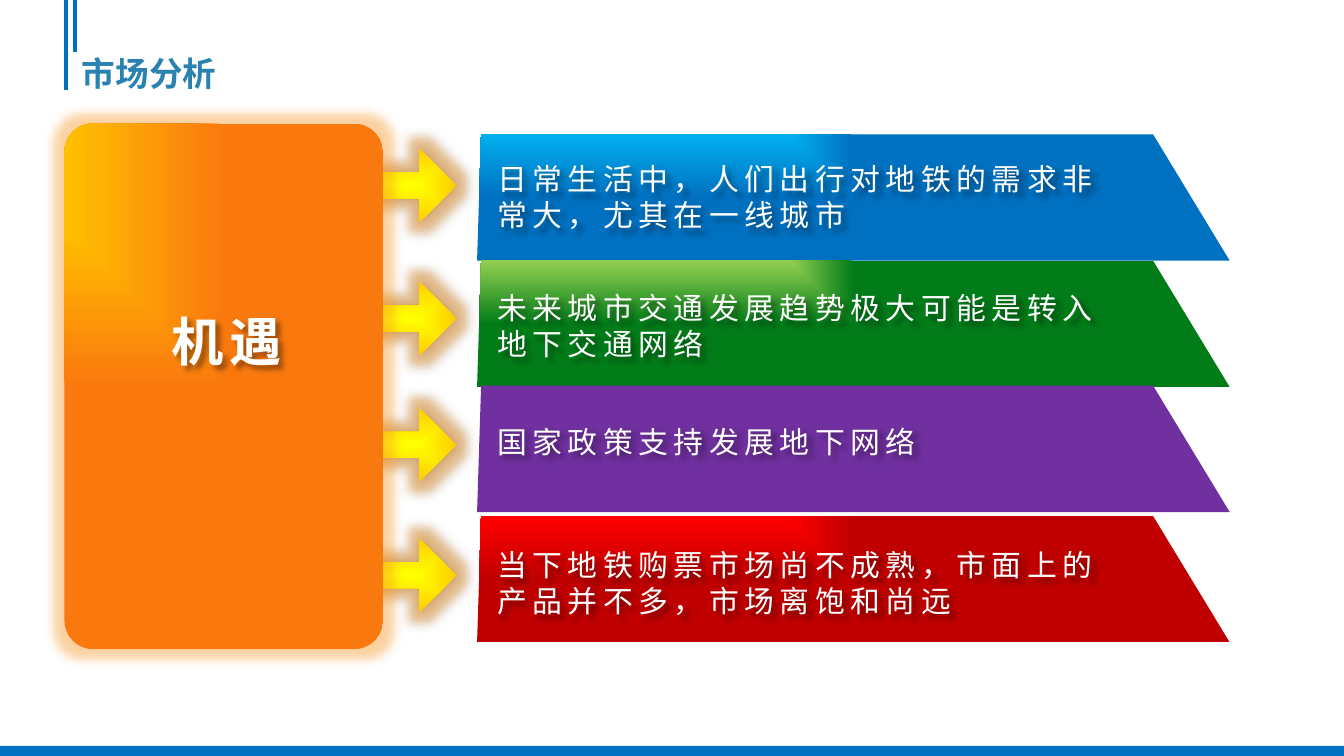
from dataclasses import dataclass
from typing import Optional

from lxml import etree
from pptx import Presentation
from pptx.dml.color import RGBColor
from pptx.enum.shapes import MSO_CONNECTOR, MSO_SHAPE
from pptx.enum.text import MSO_ANCHOR, PP_ALIGN
from pptx.oxml import parse_xml
from pptx.oxml.ns import qn
from pptx.util import Inches, Pt

STRAIGHT = MSO_CONNECTOR.STRAIGHT
RECT, ROUND_RECT, ARROW = MSO_SHAPE.RECTANGLE, MSO_SHAPE.ROUNDED_RECTANGLE, MSO_SHAPE.DOWN_ARROW
LEFT, CENTER = PP_ALIGN.LEFT, PP_ALIGN.CENTER
NS = 'xmlns:a="http://schemas.openxmlformats.org/drawingml/2006/main"'

COLORS = {
    "blue": "0070C0", "title": "2A82B0", "white": "FFFFFF", "sky": "00B0F0",
    "lime": "92D050", "green": "027C19", "purple": "7030A0", "red": "FF0000",
    "dark_red": "C00000", "yellow": "FFFF00", "gold": "FFCC00",
    "amber": "FFC000", "orange": "FA790E", "glow": "F79B2E",
}

SLIDE_W = 10
SLIDE_H = SLIDE_W * 9 / 16
BAND_LEFT, BAND_H = 3.55, 0.94
# Band corners: inches from the left edge, share of the height
BAND_CORNERS = [(0, 1), (0.03, 0), (5.03, 0), (5.6, 1)]
ARROW_LEFT, ARROW_W, ARROW_H = 2.71, 0.55, 0.82


@dataclass
class Opportunity:
    text: str
    start: Optional[str]  # None for a plain fill
    end: str
    top: float
    arrow_top: float
    text_top: float
    text_w: float
    text_h: float = 0.63


OPPORTUNITIES = [
    Opportunity("日常生活中，人们出行对地铁的需求非常大，尤其在一线城市",
                "sky", "blue", 1, 0.97, 1.15, 4.92),
    Opportunity("未来城市交通发展趋势极大可能是转入地下交通网络",
                "lime", "green", 1.94, 1.96, 2.11, 4.83),
    Opportunity("国家政策支持发展地下网络",
                None, "purple", 2.87, 2.9, 3.1, 4.83, 0.37),
    Opportunity("当下地铁购票市场尚不成熟，市面上的产品并不多，市场离饱和尚远",
                "red", "dark_red", 3.84, 3.87, 4.02, 4.92),
]


def rgb(name: str) -> RGBColor:
    return RGBColor.from_string(COLORS[name])


def shadow_xml(blur: float, dist: float = 0) -> str:
    return (f'<a:outerShdw blurRad="{Pt(blur)}" dist="{Pt(dist)}" dir="2700000" algn="ctr" '
            'rotWithShape="0"><a:srgbClr val="000000"><a:alpha val="40000"/>'
            '</a:srgbClr></a:outerShdw>')


def glow_xml(radius: float) -> str:
    return (f'<a:glow rad="{Pt(radius)}"><a:srgbClr val="{COLORS["glow"]}">'
            '<a:alpha val="45000"/></a:srgbClr></a:glow>')


def set_effects(sp, inner: str = "") -> None:
    spPr = sp._element.spPr
    for old in spPr.findall(qn("a:effectLst")):
        spPr.remove(old)
    spPr.append(parse_xml(f"<a:effectLst {NS}>{inner}</a:effectLst>"))


def gradient(start: str, end: str, centered: bool) -> etree.ElementBase:
    l, t, r, b = (50000,) * 4 if centered else (0, 0, 100000, 100000)
    return parse_xml(
        f'<a:gradFill {NS} rotWithShape="1"><a:gsLst>'
        f'<a:gs pos="0"><a:srgbClr val="{COLORS[start]}"/></a:gs>'
        f'<a:gs pos="100000"><a:srgbClr val="{COLORS[end]}"/></a:gs></a:gsLst>'
        f'<a:path path="rect"><a:fillToRect l="{l}" t="{t}" r="{r}" b="{b}"/></a:path>'
        '</a:gradFill>')


def paint(sp, start: Optional[str], end: str, centered: bool = False) -> None:
    """Fill with one colour, or a rectangular gradient from the corner or centre."""
    sp.shadow.inherit = False
    sp.line.fill.background()
    if start is None:
        sp.fill.solid()
        sp.fill.fore_color.rgb = rgb(end)
        return
    sp.fill.gradient()
    old = sp._element.spPr.find(qn("a:gradFill"))
    old.getparent().replace(old, gradient(start, end, centered))


def add_shape(s, kind, x: float, y: float, w: float, h: float):
    return s.shapes.add_shape(kind, Inches(x), Inches(y), Inches(w), Inches(h))


def add_rule(s, x: float, length: float) -> None:
    line = s.shapes.add_connector(STRAIGHT, Inches(x), 0, Inches(x), Inches(length))
    line.line.color.rgb = rgb("blue")
    line.line.width = Pt(2.25)
    set_effects(line)


def add_label(s, text: str, x: float, y: float, w: float, h: float,
              size: int, bold: bool = False, align=LEFT) -> None:
    sp = s.shapes.add_textbox(Inches(x), Inches(y), Inches(w), Inches(h))
    set_effects(sp, shadow_xml(3, 3))
    tf = sp.text_frame
    tf.word_wrap = True
    p = tf.paragraphs[0]
    p.alignment = align
    r = p.add_run()
    r.text = text
    r._r.get_or_add_rPr().set("spc", "300")
    p.font.name, p.font.size, p.font.bold = "Arial", Pt(size), bold
    p.font.color.rgb = rgb("white")


def add_arrow(s, top: float) -> None:
    sp = add_shape(s, ARROW, ARROW_LEFT, top, ARROW_W, ARROW_H)
    sp.rotation = 270
    sp.adjustments[0], sp.adjustments[1] = 0.35, 0.5
    paint(sp, "yellow", "gold", centered=True)
    set_effects(sp, glow_xml(11) + shadow_xml(5))


def add_band(s, item: Opportunity) -> None:
    points = [(Inches(BAND_LEFT + dx), Inches(item.top + fy * BAND_H))
              for dx, fy in BAND_CORNERS]
    builder = s.shapes.build_freeform(*points[0])
    builder.add_line_segments(points[1:], close=True)
    paint(builder.convert_to_shape(), item.start, item.end)
    add_label(s, item.text, 3.6, item.text_top, item.text_w, item.text_h, 16)


def main() -> None:
    prs = Presentation()
    prs.slide_width, prs.slide_height = Inches(SLIDE_W), Inches(SLIDE_H)
    s = prs.slides.add_slide(prs.slide_layouts[5])

    # Title and page trim
    title = s.shapes.title
    title.left, title.top, title.width, title.height = map(Inches, (0.51, 0.34, 9, 0.4))
    tf = title.text_frame
    tf.text = "市场分析"
    tf.vertical_anchor = MSO_ANCHOR.MIDDLE
    p = tf.paragraphs[0]
    p.alignment = LEFT
    p.font.name, p.font.size, p.font.bold = "DejaVu Sans", Pt(18), True
    p.font.color.rgb = rgb("title")
    add_rule(s, 0.49, 0.67)
    add_rule(s, 0.56, 0.39)
    paint(add_shape(s, RECT, 0, 5.55, SLIDE_W, 0.08), None, "blue")

    # Arrows and bands
    for item in OPPORTUNITIES:
        add_arrow(s, item.arrow_top)
    for item in OPPORTUNITIES:
        add_band(s, item)

    # Topic panel
    panel = add_shape(s, ROUND_RECT, 0.48, 0.92, 2.37, 3.91)
    panel.adjustments[0] = 0.09
    paint(panel, "amber", "orange")
    set_effects(panel, glow_xml(11))
    add_label(s, "机遇", 0.87, 2.25, 1.63, 0.57, 28, bold=True, align=CENTER)

    prs.save("out.pptx")


if __name__ == "__main__":
    main()
